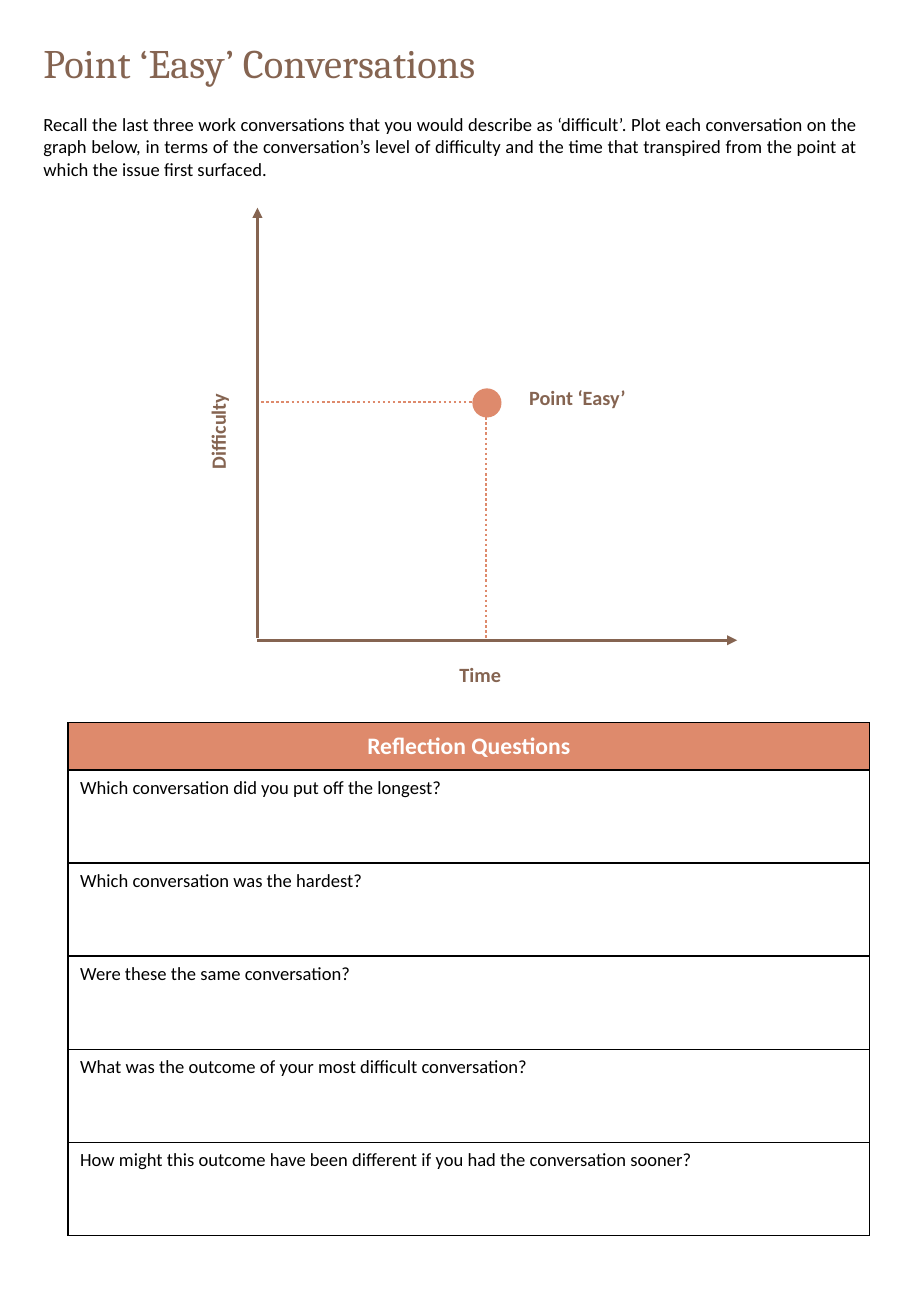
from dataclasses import dataclass

from lxml import etree
from pptx import Presentation
from pptx.dml.color import RGBColor
from pptx.enum import dml, shapes, text
from pptx.oxml import ns
from pptx.util import Pt


@dataclass(frozen=True)
class Theme:
    brown: RGBColor = RGBColor(0x85, 0x64, 0x51)
    coral: RGBColor = RGBColor(0xDE, 0x8A, 0x6C)
    black: RGBColor = RGBColor(0, 0, 0)
    white: RGBColor = RGBColor(255, 255, 255)
    heading_font: str = "Cambria"
    body_font: str = "Calibri"
    title_size: int = 24
    header_size: int = 14
    label_size: int = 12
    body_size: int = 11


THEME = Theme()
INSTRUCTIONS = (
    "Recall the last three work conversations that you would describe as ‘difficult’. "
    "Plot each conversation on the graph below, in terms of the conversation’s level of "
    "difficulty and the time that transpired from the point at which the issue first surfaced."
)
QUESTIONS = [
    "Which conversation did you put off the longest?",
    "Which conversation was the hardest?",
    "Were these the same conversation?",
    "What was the outcome of your most difficult conversation?",
    "How might this outcome have been different if you had the conversation sooner?",
]


def style_paragraph(paragraph, size, color, bold=False, font=THEME.body_font,
                    align=text.PP_ALIGN.LEFT):
    paragraph.alignment = align
    paragraph.font.name = font
    paragraph.font.size = Pt(size)
    paragraph.font.bold = bold
    paragraph.font.color.rgb = color


def add_text(slide, wording, left, top, width, height, size, color, **style):
    box = slide.shapes.add_textbox(Pt(left), Pt(top), Pt(width), Pt(height))
    box.text_frame.word_wrap = True
    paragraph = box.text_frame.paragraphs[0]
    paragraph.text = wording
    style_paragraph(paragraph, size, color, **style)
    return box


def add_label(slide, wording, left, top, rotation=0):
    box = add_text(slide, wording, left, top, 91.4, 21.6, THEME.label_size, THEME.brown,
                   bold=True, align=text.PP_ALIGN.CENTER)
    box.rotation = rotation


def add_line(slide, start, end, color, width):
    line = slide.shapes.add_connector(
        shapes.MSO_CONNECTOR.STRAIGHT, *(Pt(value) for value in start + end))
    line.line.color.rgb = color
    line.line.width = Pt(width)
    etree.SubElement(line._element.spPr, ns.qn("a:effectLst"))
    return line


def add_axis(slide, start, end):
    axis = add_line(slide, start, end, THEME.brown, 2)
    etree.SubElement(axis.line._get_or_add_ln(), ns.qn("a:tailEnd"), type="triangle")


def add_guide(slide, start, end):
    guide = add_line(slide, start, end, THEME.coral, 1.5)
    guide.line.dash_style = dml.MSO_LINE.ROUND_DOT


def add_dot(slide, left, top, diameter):
    dot = slide.shapes.add_shape(
        shapes.MSO_SHAPE.OVAL, Pt(left), Pt(top), Pt(diameter), Pt(diameter))
    dot.shadow.inherit = False
    dot.fill.solid()
    dot.fill.fore_color.rgb = THEME.coral
    dot.line.fill.background()


def add_borders(cell):
    properties = cell._tc.get_or_add_tcPr()
    for side in ("lnL", "lnR", "lnT", "lnB"):
        border = etree.SubElement(properties, ns.qn(f"a:{side}"), w=str(Pt(1)))
        fill = etree.SubElement(border, ns.qn("a:solidFill"))
        etree.SubElement(fill, ns.qn("a:srgbClr"), val=str(THEME.black))


def add_question_table(slide, left, top, width, header_height, row_height):
    height = header_height + row_height * len(QUESTIONS)
    table = slide.shapes.add_table(
        len(QUESTIONS) + 1, 1, Pt(left), Pt(top), Pt(width), Pt(height)).table
    table.first_row = table.horz_banding = False
    for index, wording in enumerate(["Reflection Questions"] + QUESTIONS):
        table.rows[index].height = Pt(row_height if index else header_height)
        cell = table.cell(index, 0)
        cell.text = wording
        add_borders(cell)
        paragraph = cell.text_frame.paragraphs[0]
        if index:
            cell.fill.background()
            style_paragraph(paragraph, THEME.body_size, THEME.black)
        else:
            cell.fill.solid()
            cell.fill.fore_color.rgb = THEME.coral
            cell.vertical_anchor = text.MSO_ANCHOR.MIDDLE
            style_paragraph(paragraph, THEME.header_size, THEME.white, bold=True,
                            align=text.PP_ALIGN.CENTER)


def main():
    presentation = Presentation()
    presentation.slide_width = Pt(540)
    presentation.slide_height = Pt(780)
    slide = presentation.slides.add_slide(presentation.slide_layouts[6])

    title = add_text(slide, "Point ‘Easy’ Conversations", 18.7, 14.4, 496.8, 49,
                     THEME.title_size, THEME.brown, font=THEME.heading_font)
    title.text_frame.vertical_anchor = text.MSO_ANCHOR.MIDDLE
    title.text_frame.paragraphs[0].line_spacing = 0.9
    add_text(slide, INSTRUCTIONS, 18.7, 63.4, 496.8, 104.4, THEME.body_size, THEME.black,
             align=text.PP_ALIGN.JUSTIFY)

    add_guide(slide, (154.8, 238.3), (285.8, 238.3))
    add_guide(slide, (288, 238.3), (288, 378))
    add_dot(slide, 280, 230.2, 17.3)
    add_axis(slide, (152.6, 378), (152.6, 123.1))
    add_axis(slide, (152.6, 379.5), (437, 379.5))
    add_label(slide, "Time", 239, 388.8)
    add_label(slide, "Difficulty", 83.5, 244.8, rotation=270)
    add_label(slide, "Point ‘Easy’", 296.6, 224.6)

    add_question_table(slide, 40.3, 428.4, 475.2, 28.1, 55.15)
    presentation.save("out.pptx")


if __name__ == "__main__":
    main()
